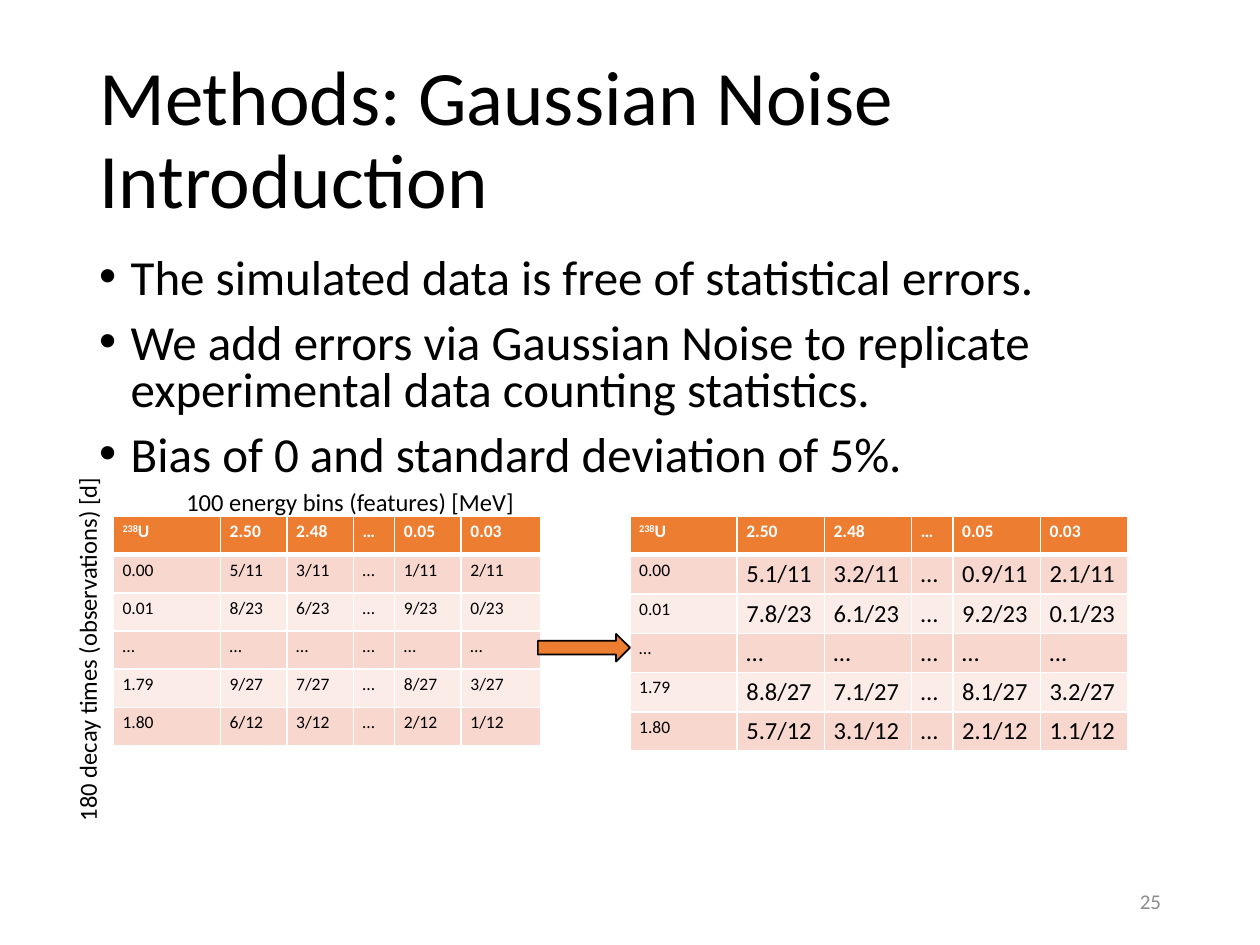
"""Build the slide on adding Gaussian noise to simulated decay data."""
from lxml import etree
from pptx import Presentation
from pptx.dml.color import RGBColor
from pptx.enum import shapes, text
from pptx.oxml.ns import qn
from pptx.util import Pt


def paint(fill, color):
    fill.solid()
    fill.fore_color.rgb = RGBColor.from_string(color)


def write(para, words, size, color="000000", bold=False):
    run = para.add_run()
    run.text = words
    run.font.name = "Calibri"
    run.font.size = Pt(size)
    run.font.bold = bold
    run.font.color.rgb = RGBColor.from_string(color)
    return run


deck = Presentation()
deck.slide_width, deck.slide_height = Pt(720), Pt(540)
slide = deck.slides.add_slide(deck.slide_layouts[1])
title, body = slide.placeholders

title.left, title.top, title.width, title.height = Pt(49.5), Pt(28.8), Pt(621), Pt(104.4)
title.text_frame.vertical_anchor = text.MSO_ANCHOR.MIDDLE
para = title.text_frame.paragraphs[0]
para.alignment = text.PP_ALIGN.LEFT
para.line_spacing = 0.9
write(para, "Methods: Gaussian Noise Introduction", 44)

body.left, body.top, body.width, body.height = Pt(49.5), Pt(144), Pt(633.6), Pt(143.3)
points = [
    "The simulated data is free of statistical errors.",
    "We add errors via Gaussian Noise to replicate experimental data counting statistics.",
    "Bias of 0 and standard deviation of 5%.",
]
frame = body.text_frame
for i, point in enumerate(points):
    para = frame.add_paragraph() if i else frame.paragraphs[0]
    props = para._p.get_or_add_pPr()
    props.set("marL", str(Pt(18)))
    props.set("indent", str(Pt(-18)))
    etree.SubElement(props, qn("a:buFont")).set("typeface", "Arial")
    etree.SubElement(props, qn("a:buChar")).set("char", "•")
    para.line_spacing = 0.8
    para.space_before = Pt(10 if i else 0)
    write(para, point, 28)

head = ["238", "2.50", "2.48", "…", "0.05", "0.03"]
times = ["0.00", "0.01", "…", "1.79", "1.80"]
clean = ["5/11 3/11 … 1/11 2/11", "8/23 6/23 … 9/23 0/23", "… … … … …",
         "9/27 7/27 … 8/27 3/27", "6/12 3/12 … 2/12 1/12"]
noisy = ["5.1/11 3.2/11 … 0.9/11 2.1/11", "7.8/23 6.1/23 … 9.2/23 0.1/23", "… … … … …",
         "8.8/27 7.1/27 … 8.1/27 3.2/27", "5.7/12 3.1/12 … 2.1/12 1.1/12"]
tables = [
    (64.8, [61.2, 38, 38, 23.6, 38, 45.3], 21.8, clean, 10),
    (360, [61.2, 49.9, 49.9, 23.6, 49.9, 49.9], 21.8, noisy, 14),
]
for left, widths, high, data, size in tables:
    rows = [head] + [[time] + line.split() for time, line in zip(times, data)]
    grid = slide.shapes.add_table(6, 6, Pt(left), Pt(295.2), Pt(sum(widths)), Pt(6 * high)).table
    for col, width in zip(grid.columns, widths):
        col.width = Pt(width)
    for r, row in enumerate(rows):
        grid.rows[r].height = Pt(high)
        for c, value in enumerate(row):
            cell = grid.cell(r, c)
            cell.margin_left = cell.margin_right = Pt(5.3)
            cell.margin_top = cell.margin_bottom = Pt(2.7)
            props = cell._tc.get_or_add_tcPr()
            for side in "LRTB":
                thick = 3 if (r, side) in ((0, "B"), (1, "T")) else 1
                edge = etree.SubElement(props, qn("a:ln" + side), w=str(Pt(thick)))
                solid = etree.SubElement(edge, qn("a:solidFill"))
                etree.SubElement(solid, qn("a:srgbClr"), val="FFFFFF")
            para = cell.text_frame.paragraphs[0]
            if r == 0:
                paint(cell.fill, "ED7D31")
                run = write(para, value, 10, "FFFFFF", True)
                if c == 0:
                    run.font._element.set("baseline", "30000")
                    write(para, "U", 10, "FFFFFF", True)
            else:
                paint(cell.fill, "F8D7CE" if r % 2 else "FCECE8")
                write(para, value, size if c else 10)

arrow = slide.shapes.add_shape(shapes.MSO_SHAPE.RIGHT_ARROW, Pt(307.4), Pt(362.2), Pt(52.6), Pt(15.8))
arrow.shadow.inherit = False
paint(arrow.fill, "ED7D31")
paint(arrow.line.fill, "000000")
arrow.line.width = Pt(1)

labels = [
    ("100 energy bins (features) [MeV]", 99.4, 275, 203.8, 24.5, 0),
    ("180 decay times (observations) [d]", -56.2, 357.8, 212.4, 24.5, 270),
]
for words, left, top, width, high, turn in labels:
    box = slide.shapes.add_textbox(Pt(left), Pt(top), Pt(width), Pt(high))
    box.rotation = turn
    box.text_frame.word_wrap = False
    box.text_frame.auto_size = text.MSO_AUTO_SIZE.SHAPE_TO_FIT_TEXT
    write(box.text_frame.paragraphs[0], words, 14)

box = slide.shapes.add_textbox(Pt(508.5), Pt(500.5), Pt(162), Pt(28.8))
box.text_frame.word_wrap = True
box.text_frame.vertical_anchor = text.MSO_ANCHOR.MIDDLE
para = box.text_frame.paragraphs[0]
para.alignment = text.PP_ALIGN.RIGHT
write(para, "25", 12, "8C8C8C")

deck.save("out.pptx")
